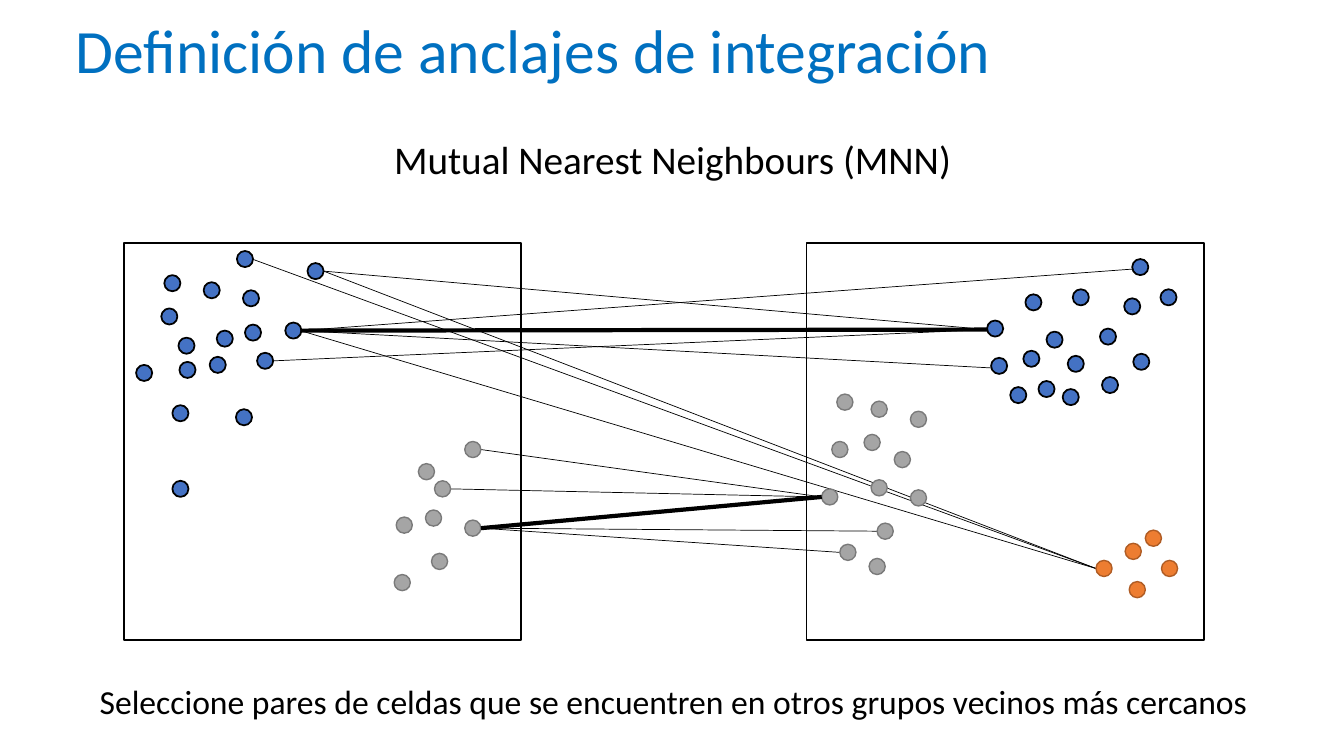
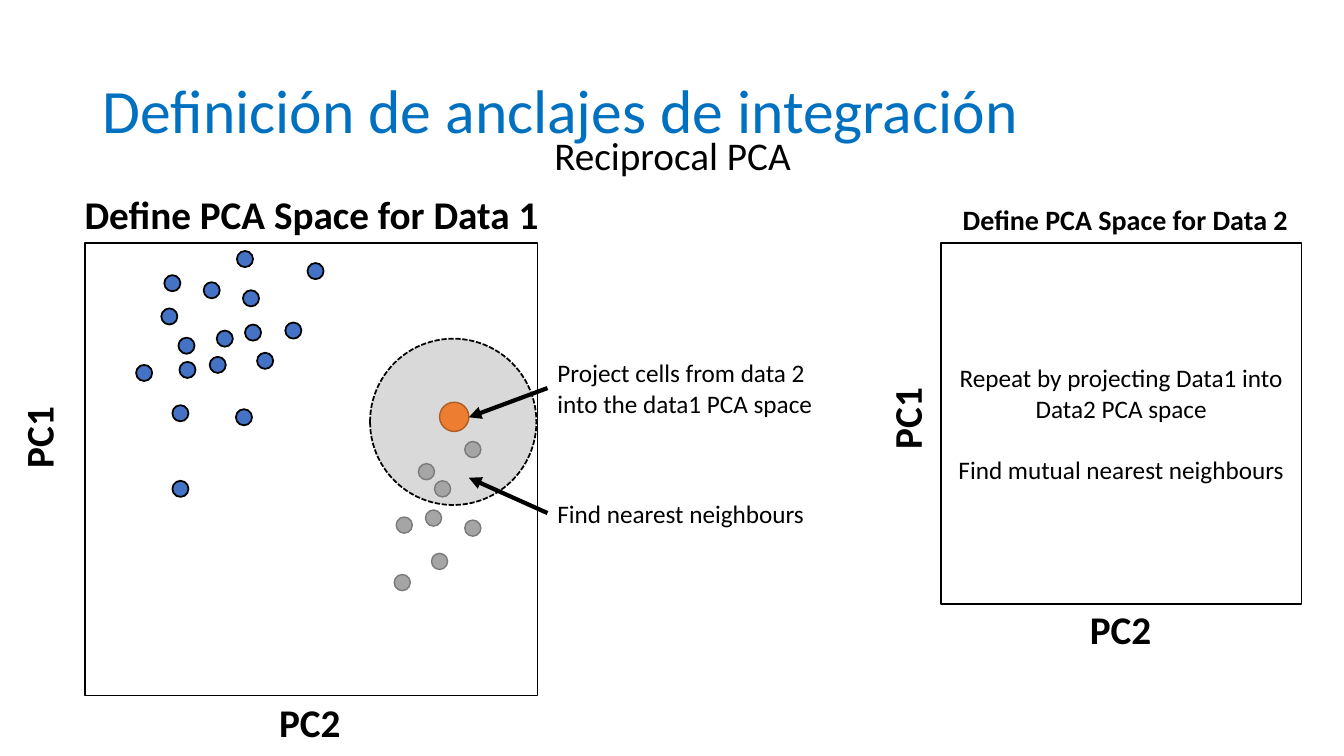
from dataclasses import dataclass

from lxml.etree import SubElement
from pptx import Presentation
from pptx.dml.color import RGBColor as Rgb
from pptx.enum.dml import MSO_LINE as Dash
from pptx.enum.shapes import MSO_CONNECTOR as Connector, MSO_SHAPE as Shape
from pptx.enum.text import MSO_ANCHOR as Anchor, PP_ALIGN as Align
from pptx.oxml.ns import qn
from pptx.util import Inches, Pt


@dataclass(frozen=True)
class Theme:
    font: str = "Calibri"
    title: str = "0070C0"
    ink: str = "000000"
    paper: str = "FFFFFF"
    halo: str = "D9D9D9"
    # Cell groups: fill, outline, outline width
    blue: tuple = ("4472C4", "000000", 1.25)
    gray: tuple = ("A5A5A5", "7A7A7A", 1)
    orange: tuple = ("ED7D31", "AF5C24", 1)
    title_size: int = 44
    heading_size: int = 28
    caption_size: int = 24
    minor_size: int = 20
    note_size: int = 18
    frame_line: float = 1.25
    thin_line: float = 0.5
    thick_line: float = 3
    dot: float = 0.16


THEME = Theme()

# Content
TITLE = "Definición de anclajes de integración"
MNN_HEADING = "Mutual Nearest Neighbours (MNN)"
MNN_CAPTION = "Seleccione pares de celdas que se encuentren en otros grupos vecinos más cercanos"
PCA_HEADING = "Reciprocal PCA"
REPEAT_STEPS = [
    "Repeat by projecting Data1 into Data2 PCA space",
    "Find mutual nearest neighbours",
]

# Cells of each data set: left and top of every dot, by group
DATA_1 = [
    (THEME.blue, [
        (1.63, 2.73), (1.6, 3.06), (2.02, 2.8), (1.78, 3.59), (2.15, 3.28), (2.41, 2.88),
        (1.35, 3.62), (2.08, 3.54), (3.05, 2.61), (2.83, 3.2), (2.34, 4.06), (2.55, 3.5),
        (1.71, 4.77), (1.71, 4.02), (2.43, 3.22), (2.35, 2.49), (1.77, 3.35),
    ]),
    (THEME.gray, [
        (4.15, 4.6), (4.31, 4.77), (3.93, 5.13), (4.22, 5.06),
        (4.28, 5.49), (4.61, 4.38), (4.61, 5.16), (3.91, 5.7),
    ]),
]
DATA_2 = [
    (THEME.blue, [
        (9.83, 3.55), (10.02, 3.84), (9.79, 3.18), (11.51, 2.87), (10.15, 3.48), (10.38, 3.29),
        (10.54, 3.86), (10.64, 2.87), (10.91, 3.26), (11.24, 3.51), (10.59, 3.53), (10.93, 3.74),
        (11.23, 2.57), (11.15, 2.96), (10.17, 2.92), (10.3, 3.78),
    ]),
    (THEME.gray, [
        (8.57, 4.31), (8.87, 4.48), (8.3, 3.91), (8.64, 4.76), (8.7, 5.19), (9.03, 4.08),
        (9.03, 4.86), (8.33, 5.4), (8.25, 4.38), (8.64, 3.98), (8.15, 4.85), (8.62, 5.54),
    ]),
    (THEME.orange, [(10.87, 5.56), (11.16, 5.39), (11.2, 5.77), (11.36, 5.26), (11.52, 5.56)]),
]

# Neighbour searches: each hub cell and the cells it points to
BLUE_1, GRAY_1 = (2.98, 3.28), (4.77, 5.24)
BLUE_2, GRAY_2, ORANGE_2 = (9.79, 3.27), (8.15, 4.93), (10.87, 5.64)
NEIGHBOURS = {
    ORANGE_2: [(2.5, 2.57), (3.21, 2.69), BLUE_1],
    BLUE_2: [(3.21, 2.69), (2.71, 3.58), BLUE_1],
    GRAY_1: [GRAY_2, (8.7, 5.27), (8.33, 5.48)],
    GRAY_2: [(4.77, 4.46), (4.47, 4.85), GRAY_1],
    BLUE_1: [(11.23, 2.67), BLUE_2, (9.83, 3.65)],
}
MUTUAL_PAIRS = [(BLUE_2, BLUE_1), (GRAY_2, GRAY_1)]

# Notes beside the first PCA space: text, top, height, arrow start, arrow end
PCA_NOTES = [
    ("Project cells from data 2 into the data1 PCA space", 3.5, 0.71, (5.43, 3.85), (4.65, 4.14)),
    ("Find nearest neighbours", 4.89, 0.4, (5.43, 5.09), (4.65, 4.74)),
]
# Axis labels: text, left, top, rotation
AXES = [("PC1", -0.03, 4.05, 270), ("PC2", 2.67, 6.88, 0),
        ("PC1", 8.58, 3.86, 270), ("PC2", 10.71, 5.96, 0)]


# Drawing helpers
def write(shape, lines, size, color=THEME.ink, bold=False, align=Align.LEFT,
          anchor=Anchor.TOP, wrap=True, spacing=None, gap=0):
    frame = shape.text_frame
    frame.word_wrap = wrap
    frame.vertical_anchor = anchor
    for index, line in enumerate(lines):
        para = frame.paragraphs[0] if index == 0 else frame.add_paragraph()
        para.text = line
        para.alignment = align
        if spacing:
            para.line_spacing = spacing
        if index:
            para.space_before = Pt(gap)
        para.font.name = THEME.font
        para.font.size = Pt(size)
        para.font.bold = bold
        para.font.color.rgb = Rgb.from_string(color)


def add_text(page, text, place, size, **style):
    box = page.shapes.add_textbox(*map(Inches, place))
    write(box, [text], size, **style)
    return box


def add_outline(page, kind, left, top, side, look):
    fill, line, width = look
    shape = page.shapes.add_shape(kind, *map(Inches, (left, top, side, side)))
    shape.shadow.inherit = False
    shape.fill.solid()
    shape.fill.fore_color.rgb = Rgb.from_string(fill)
    shape.line.color.rgb = Rgb.from_string(line)
    shape.line.width = Pt(width)
    return shape


def add_frame(page, left, top, side):
    look = (THEME.paper, THEME.ink, THEME.frame_line)
    return add_outline(page, Shape.RECTANGLE, left, top, side, look)


def add_cells(page, groups):
    for look, cells in groups:
        for left, top in cells:
            add_outline(page, Shape.OVAL, left, top, THEME.dot, look)


def add_link(page, start, end, width, arrow=False):
    link = page.shapes.add_connector(Connector.STRAIGHT, *map(Inches, start + end))
    link.line.color.rgb = Rgb.from_string(THEME.ink)
    link.line.width = Pt(width)
    if arrow:
        SubElement(link.line._get_or_add_ln(), qn("a:tailEnd"), type="triangle")
    SubElement(link._element.spPr, qn("a:effectLst"))


def add_headings(page, title_place, heading, heading_place):
    add_text(page, TITLE, title_place, THEME.title_size, color=THEME.title,
             anchor=Anchor.MIDDLE, spacing=0.9)
    add_text(page, heading, heading_place, THEME.heading_size, align=Align.CENTER, spacing=0.9)


# Slides
def build_mnn(page):
    for left in (1.23, 8):
        add_frame(page, left, 2.41, 3.94)
    for hub, targets in NEIGHBOURS.items():
        for target in targets:
            add_link(page, hub, target, THEME.thin_line)
    add_headings(page, (0.65, -0.09, 12, 1.25), MNN_HEADING, (0.67, 1.35, 12, 0.64))
    add_text(page, MNN_CAPTION, (0.89, 6.71, 11.7, 0.5), THEME.caption_size, wrap=False)
    add_cells(page, DATA_1 + DATA_2)
    for start, end in MUTUAL_PAIRS:
        add_link(page, start, end, THEME.thick_line)


def build_pca(page):
    add_headings(page, (0.92, 0.4, 11.5, 1.45), PCA_HEADING, (0.67, 1.31, 12, 0.82))

    # First PCA space with the projected cell and its neighbourhood
    add_frame(page, 0.84, 2.41, 4.49)
    halo = add_outline(page, Shape.OVAL, 3.67, 3.36, 1.65,
                       (THEME.halo, THEME.ink, THEME.frame_line))
    halo.line.dash_style = Dash.SQUARE_DOT
    add_cells(page, DATA_1)
    add_text(page, "Define PCA Space for Data 1", (0.74, 1.84, 4.76, 0.57),
             THEME.heading_size, bold=True, wrap=False)
    add_outline(page, Shape.OVAL, 4.36, 3.99, 0.29, THEME.orange)
    for text, top, height, start, end in PCA_NOTES:
        add_text(page, text, (5.43, top, 2.82, height), THEME.note_size)
        add_link(page, start, end, THEME.thick_line, arrow=True)

    # Second PCA space
    repeat = add_frame(page, 9.33, 2.41, 3.58)
    write(repeat, REPEAT_STEPS, THEME.note_size, align=Align.CENTER,
          anchor=Anchor.MIDDLE, gap=22)
    add_text(page, "Define PCA Space for Data 2", (9.45, 1.96, 3.46, 0.44),
             THEME.minor_size, bold=True, wrap=False)

    for text, left, top, turn in AXES:
        label = add_text(page, text, (left, top, 0.82, 0.57), THEME.heading_size,
                         bold=True, wrap=False)
        label.rotation = turn


def main():
    deck = Presentation()
    deck.slide_width, deck.slide_height = Inches(13.33), Inches(7.5)
    for build in (build_mnn, build_pca):
        build(deck.slides.add_slide(deck.slide_layouts[6]))
    deck.save("out.pptx")


if __name__ == "__main__":
    main()
